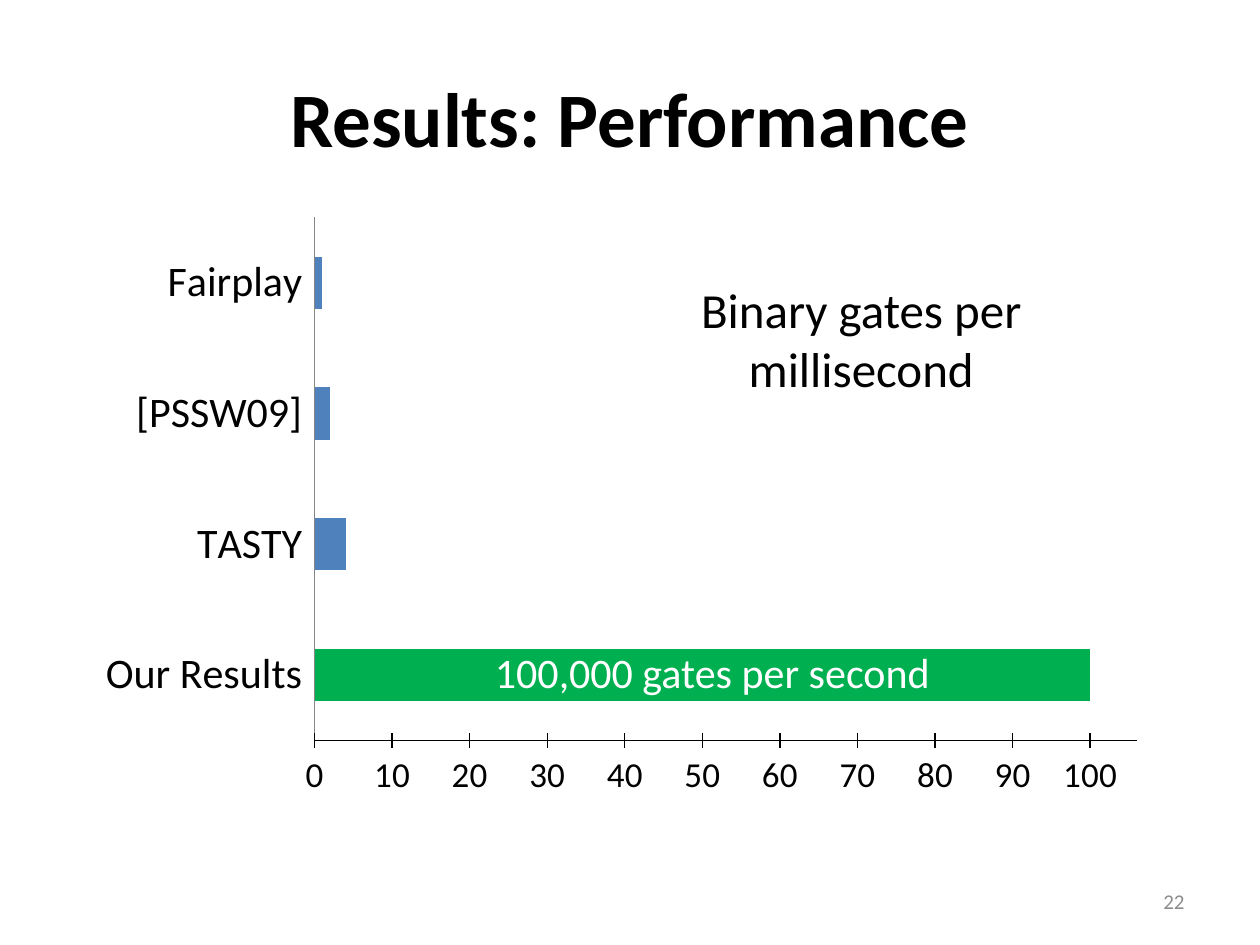
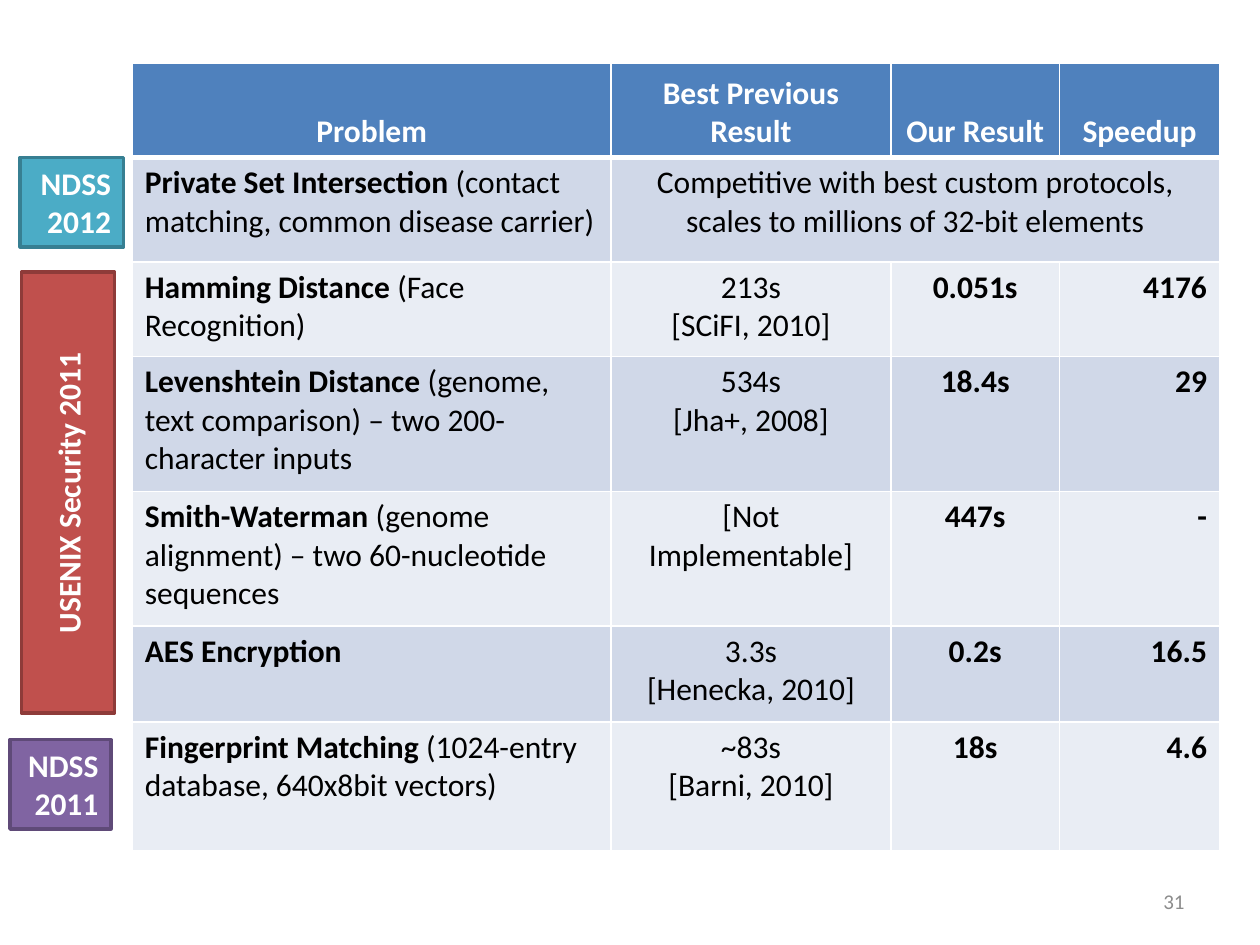
from lxml import etree
from pptx import Presentation
from pptx.chart.data import CategoryChartData
from pptx.dml.color import RGBColor
from pptx.enum.chart import XL_CHART_TYPE, XL_TICK_LABEL_POSITION, XL_TICK_MARK
from pptx.enum.shapes import MSO_SHAPE
from pptx.enum.text import MSO_ANCHOR, PP_ALIGN
from pptx.oxml.ns import qn
from pptx.util import Inches, Pt

FONT = "Calibri"
BLACK, WHITE, GRAY, AXIS_GRAY = "000000", "FFFFFF", "8C8C8C", "868686"
BLUE, GREEN = "4F81BD", "00B050"
BANDS = ["D0D8E8", "E9EDF4"]
LEFT, CENTER, RIGHT = PP_ALIGN.LEFT, PP_ALIGN.CENTER, PP_ALIGN.RIGHT

COLUMN_WIDTHS = [3.8, 2.22, 1.34, 1.27]
COLUMN_ALIGNMENTS = [LEFT, CENTER, CENTER, RIGHT]
ROW_HEIGHTS = [0.75, 0.83, 0.75, 1.07, 1.07, 0.76, 1.02]
HEADERS = ["Problem", "Best Previous Result", "Our Result", "Speedup"]
# Problem name, problem detail, best previous result, our result, speedup
RESULTS = [
    ("Private Set Intersection", " (contact matching, common disease carrier)",
     "Competitive with best custom protocols, scales to millions of 32-bit elements",
     None, None),
    ("Hamming Distance", " (Face Recognition)",
     "213s\n[SCiFI, 2010]", "0.051s", "4176"),
    ("Levenshtein Distance",
     " (genome, text comparison) – two 200-character inputs",
     "534s\n[Jha+, 2008]", "18.4s", "29"),
    ("Smith-Waterman", " (genome alignment) – two 60-nucleotide sequences",
     "[Not Implementable]", "447s", "-"),
    ("AES Encryption", "", "3.3s\n[Henecka, 2010]", "0.2s", "16.5"),
    ("Fingerprint Matching", " (1024-entry database, 640x8bit vectors)",
     "~83s\n[Barni, 2010]", "18s", "4.6"),
]


def color(hex_value):
    return RGBColor.from_string(hex_value)


def style_font(font, size, hex_color=BLACK, bold=False):
    font.name, font.size, font.bold = FONT, Pt(size), bold
    font.color.rgb = color(hex_color)


def write_text(frame, text, size=18, hex_color=BLACK, bold=False, align=LEFT, detail=""):
    """Write one paragraph per line; detail follows the last line in regular weight."""
    for index, line in enumerate(text.split("\n")):
        paragraph = frame.paragraphs[0] if index == 0 else frame.add_paragraph()
        paragraph.alignment = align
        run = paragraph.add_run()
        run.text = line
        style_font(run.font, size, hex_color, bold)
    if detail:
        run = paragraph.add_run()
        run.text = detail
        style_font(run.font, size, hex_color)


def add_text(slide, text, box, anchor=MSO_ANCHOR.TOP, wrap=True, **text_format):
    frame = slide.shapes.add_textbox(*map(Inches, box)).text_frame
    frame.word_wrap = wrap
    frame.vertical_anchor = anchor
    write_text(frame, text, **text_format)


def add_title(slide, text):
    add_text(slide, text, (0.5, 0.3, 9, 1.25), anchor=MSO_ANCHOR.MIDDLE,
             size=44, bold=True, align=CENTER)


def add_page_number(slide, number):
    add_text(slide, str(number), (7.17, 6.95, 2.33, 0.4), anchor=MSO_ANCHOR.MIDDLE,
             size=12, hex_color=GRAY, align=RIGHT)


def add_venue(slide, text, box, fill, line, align=RIGHT, anchor=MSO_ANCHOR.TOP, rotation=0):
    shape = slide.shapes.add_shape(MSO_SHAPE.RECTANGLE, *map(Inches, box))
    shape.shadow.inherit = False
    shape.rotation = rotation
    shape.fill.solid()
    shape.fill.fore_color.rgb = color(fill)
    shape.line.color.rgb = color(line)
    shape.line.width = Pt(2)
    shape.text_frame.word_wrap = True
    shape.text_frame.vertical_anchor = anchor
    write_text(shape.text_frame, text, hex_color=WHITE, bold=True, align=align)


# Chart
def set_plot_area(chart, x, y, width, height):
    plot_area = chart._chartSpace.chart.plotArea
    for old_layout in plot_area.findall(qn("c:layout")):
        plot_area.remove(old_layout)
    layout = etree.Element(qn("c:layout"))
    manual = etree.SubElement(layout, qn("c:manualLayout"))
    settings = [("layoutTarget", "inner"), ("xMode", "edge"), ("yMode", "edge"),
                ("x", x), ("y", y), ("w", width), ("h", height)]
    for name, value in settings:
        etree.SubElement(manual, qn(f"c:{name}")).set("val", str(value))
    plot_area.insert(0, layout)


def style_axis(axis, size, tick_mark, line_color):
    axis.has_major_gridlines = False
    axis.major_tick_mark = tick_mark
    axis.minor_tick_mark = XL_TICK_MARK.NONE
    axis.format.line.color.rgb = color(line_color)
    axis.format.line.width = Pt(0.75)
    style_font(axis.tick_labels.font, size)


def add_gates_chart(slide):
    data = CategoryChartData()
    data.categories = ["Our Results", "TASTY", "[PSSW09]", "Fairplay"]
    data.add_series("Series 1", [100, 4, 2, 1])
    chart = slide.shapes.add_chart(
        XL_CHART_TYPE.BAR_CLUSTERED, *map(Inches, (0.67, 1.58, 8.7, 4.83)), data).chart
    chart.has_legend = chart.has_title = False
    style_font(chart.font, 20)
    set_plot_area(chart, 0.21, 0.03, 0.75, 0.86)

    style_axis(chart.category_axis, 24, XL_TICK_MARK.NONE, AXIS_GRAY)
    chart.category_axis.tick_label_position = XL_TICK_LABEL_POSITION.LOW
    gates_axis = chart.value_axis
    style_axis(gates_axis, 20, XL_TICK_MARK.CROSS, BLACK)
    gates_axis.minimum_scale, gates_axis.maximum_scale = 0, 106
    gates_axis.major_unit = 10

    plot = chart.plots[0]
    plot.gap_width = 150
    plot.vary_by_categories = False
    series = plot.series[0]
    for bar, hex_color in ((series, BLUE), (series.points[0], GREEN)):
        bar.format.fill.solid()
        bar.format.fill.fore_color.rgb = color(hex_color)


# Table
def style_cell(cell, fill, top=1, bottom=1):
    properties = cell._tc.get_or_add_tcPr()
    for side, width in (("L", 1), ("R", 1), ("T", top), ("B", bottom)):
        border = etree.SubElement(properties, qn(f"a:ln{side}"), w=str(Pt(width)))
        solid = etree.SubElement(border, qn("a:solidFill"))
        etree.SubElement(solid, qn("a:srgbClr"), val=WHITE)
    cell.fill.solid()
    cell.fill.fore_color.rgb = color(fill)


def add_results_table(slide):
    table = slide.shapes.add_table(
        len(ROW_HEIGHTS), len(COLUMN_WIDTHS), Inches(1.05), Inches(0.5),
        Inches(sum(COLUMN_WIDTHS)), Inches(sum(ROW_HEIGHTS))).table
    for column, width in zip(table.columns, COLUMN_WIDTHS):
        column.width = Inches(width)
    for row, height in zip(table.rows, ROW_HEIGHTS):
        row.height = Inches(height)

    for column, header in enumerate(HEADERS):
        cell = table.cell(0, column)
        style_cell(cell, BLUE, bottom=3)
        cell.vertical_anchor = MSO_ANCHOR.BOTTOM
        write_text(cell.text_frame, header, hex_color=WHITE, bold=True, align=CENTER)

    for row, (problem, detail, *values) in enumerate(RESULTS, start=1):
        for column, text in enumerate([problem, *values]):
            cell = table.cell(row, column)
            style_cell(cell, BANDS[(row - 1) % 2], top=3 if row == 1 else 1)
            if text:
                write_text(cell.text_frame, text, bold=column != 1,
                           align=COLUMN_ALIGNMENTS[column],
                           detail=detail if column == 0 else "")
    table.cell(1, 1).merge(table.cell(1, 3))


# Slides
def build_performance_slide(slide):
    add_title(slide, "Results: Performance")
    add_page_number(slide, 22)
    add_gates_chart(slide)
    add_text(slide, "Binary gates per millisecond", (5.25, 2.17, 3.17, 1.04),
             size=28, align=CENTER)
    add_text(slide, "100,000 gates per second", (3.83, 5.08, 3.68, 0.5),
             wrap=False, size=24, hex_color=WHITE)


def build_comparison_slide(slide):
    add_results_table(slide)
    add_page_number(slide, 31)
    add_venue(slide, "NDSS 2011", (0.08, 5.87, 0.8, 0.71), "8064A2", "5F4A78")
    add_venue(slide, "USENIX Security 2011", (-1.21, 3.54, 3.5, 0.74), "C0504D", "8E3B39",
              align=CENTER, anchor=MSO_ANCHOR.MIDDLE, rotation=270)
    add_venue(slide, "NDSS 2012", (0.16, 1.25, 0.82, 0.71), "4BACC6", "377F92")


def main():
    presentation = Presentation()
    presentation.slide_width, presentation.slide_height = Inches(10), Inches(7.5)
    blank_layout = presentation.slide_layouts[6]
    for build_slide in (build_performance_slide, build_comparison_slide):
        build_slide(presentation.slides.add_slide(blank_layout))
    presentation.save("out.pptx")


if __name__ == "__main__":
    main()
